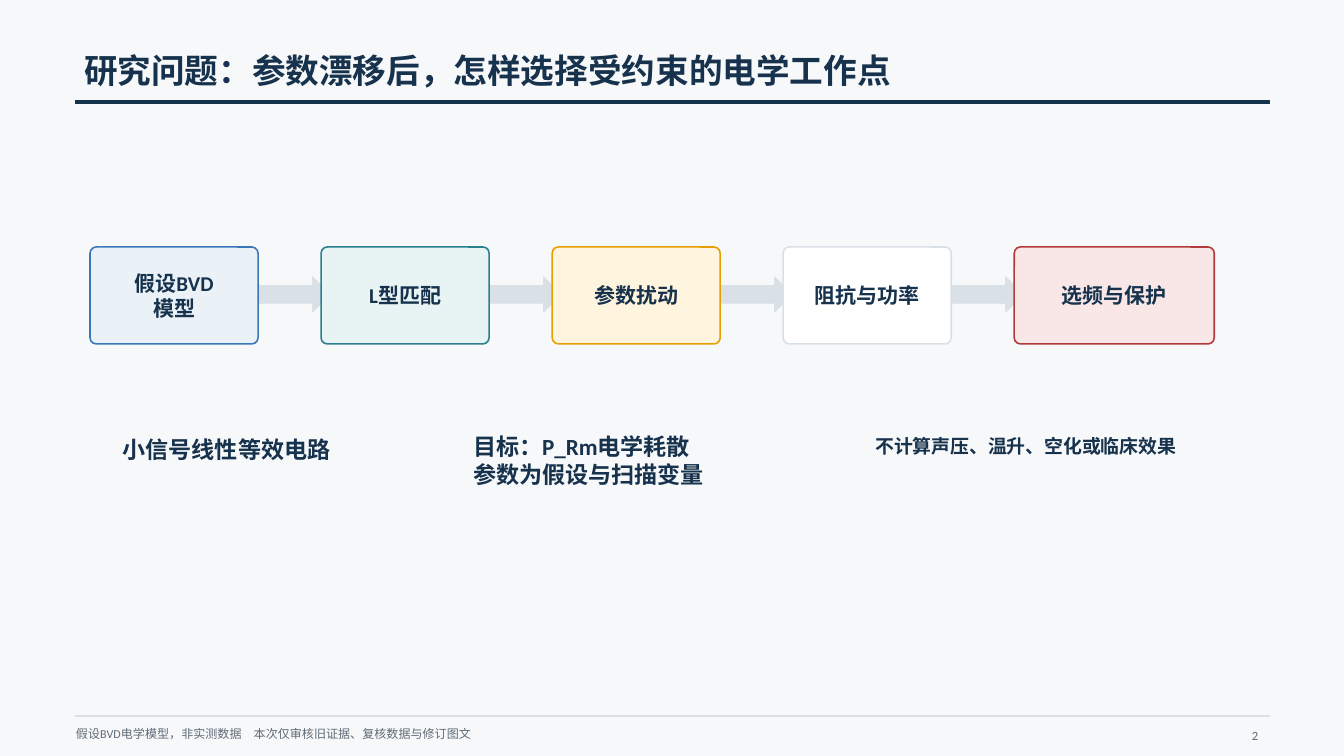
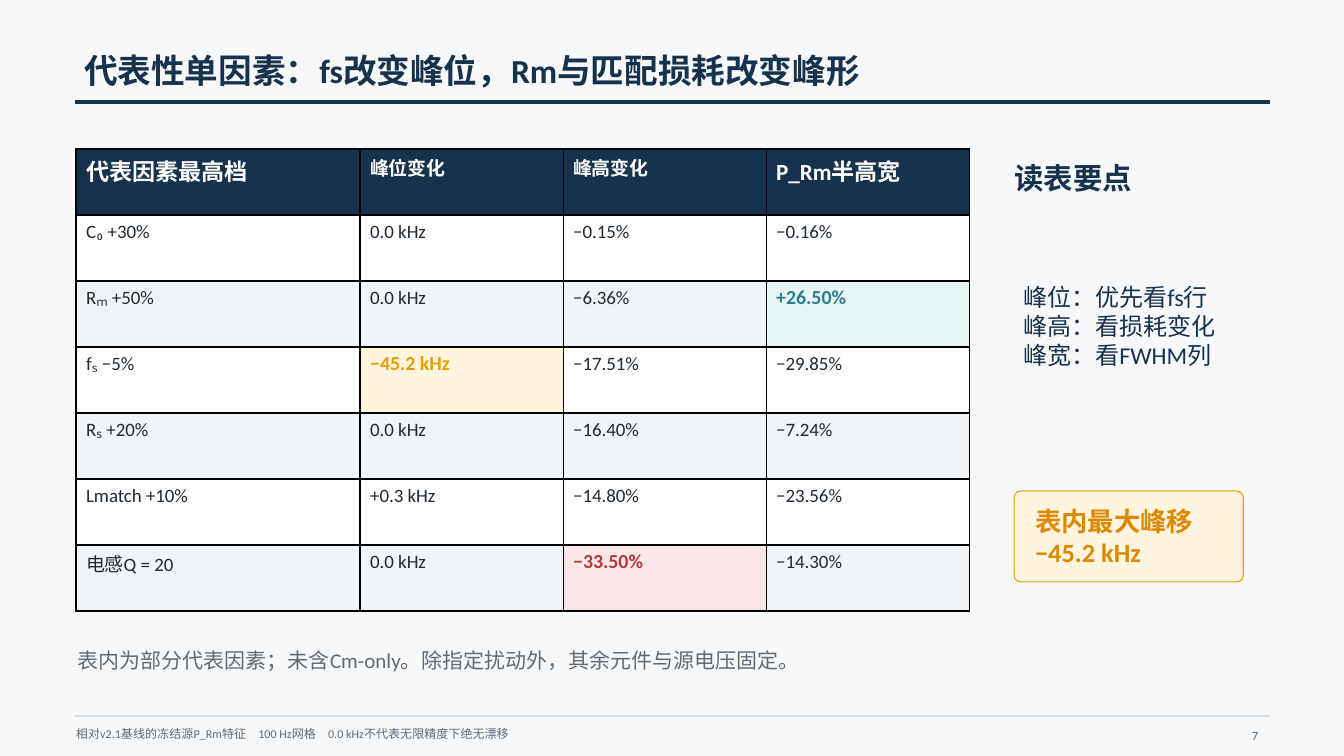
from pptx import Presentation
from pptx.dml.color import RGBColor
from pptx.enum.shapes import MSO_SHAPE
from pptx.enum.text import MSO_ANCHOR, PP_ALIGN
from pptx.oxml import parse_xml
from pptx.oxml.ns import nsdecls
from pptx.util import Emu, Inches, Pt

# Shared style
FONT = "Calibri"
BACKGROUND = RGBColor(0xF7, 0xF8, 0xFA)
NAVY = RGBColor(0x17, 0x32, 0x4D)
GRAY = RGBColor(0x5F, 0x6B, 0x76)
INK = RGBColor(0x1F, 0x29, 0x33)
RULE = RGBColor(0xD9, 0xE0, 0xE6)
WHITE = RGBColor(0xFF, 0xFF, 0xFF)
BAND = RGBColor(0xF1, 0xF4, 0xF6)
BLUE, PALE_BLUE = RGBColor(0x39, 0x78, 0xB8), RGBColor(0xEA, 0xF1, 0xF7)
TEAL, PALE_TEAL = RGBColor(0x2A, 0x7F, 0x8E), RGBColor(0xE8, 0xF3, 0xF3)
AMBER, PALE_AMBER = RGBColor(0xE6, 0x9F, 0x00), RGBColor(0xFF, 0xF4, 0xDD)
RED, PALE_RED = RGBColor(0xB3, 0x3A, 0x3A), RGBColor(0xF9, 0xE7, 0xE7)
DARK_AMBER = RGBColor(0xDE, 0x88, 0x00)

EMU_PER_PX = 914400 / 100.8
LEFT, WIDTH = 76, 1193
DEFAULT_INSETS = (10, 5)


def px(value):
    return Emu(round(value * EMU_PER_PX))


def write(frame, text, size, color, bold=False, align=None):
    """Write one paragraph for each line of text."""
    for i, line in enumerate(text.split("\n")):
        paragraph = frame.paragraphs[0] if i == 0 else frame.add_paragraph()
        if align is not None:
            paragraph.alignment = align
        run = paragraph.add_run()
        run.text = line
        font = run.font
        font.name, font.size, font.bold = FONT, Pt(size), bold
        font.color.rgb = color


def set_frame(frame, anchor, insets):
    frame.word_wrap = True
    frame.vertical_anchor = anchor
    frame.margin_left = frame.margin_right = px(insets[0])
    frame.margin_top = frame.margin_bottom = px(insets[1])


def add_text(slide, box, text, size, color=NAVY, bold=False, align=None,
             anchor=MSO_ANCHOR.MIDDLE, insets=(0, 0)):
    frame = slide.shapes.add_textbox(*map(px, box)).text_frame
    set_frame(frame, anchor, insets)
    write(frame, text, size, color, bold, align)


def add_shape(slide, kind, box, fill, line=None, line_width=0):
    shape = slide.shapes.add_shape(kind, *map(px, box))
    shape.shadow.inherit = False
    shape.fill.solid()
    shape.fill.fore_color.rgb = fill
    shape.line.color.rgb = fill if line is None else line
    shape.line.width = Pt(line_width)
    return shape


def add_card(slide, box, text, size, fill, line, line_width, radius,
             color=NAVY, align=PP_ALIGN.CENTER, insets=(19, 10)):
    card = add_shape(slide, MSO_SHAPE.ROUNDED_RECTANGLE, box, fill, line, line_width)
    card.adjustments[0] = radius
    set_frame(card.text_frame, MSO_ANCHOR.MIDDLE, insets)
    write(card.text_frame, text, size, color, True, align)


def add_borders(cell):
    properties = cell._tc.get_or_add_tcPr()
    for side in ("lnL", "lnR", "lnT", "lnB"):
        properties.append(parse_xml(
            f'<a:{side} {nsdecls("a")} w="12700"><a:solidFill>'
            f'<a:srgbClr val="000000"/></a:solidFill></a:{side}>'))


def add_table(slide, left, top, widths, row_height, rows, header_sizes, highlights):
    table = slide.shapes.add_table(
        len(rows), len(widths), px(left), px(top),
        px(sum(widths)), px(row_height * len(rows))).table
    for column, width in zip(table.columns, widths):
        column.width = px(width)
    for r, values in enumerate(rows):
        table.rows[r].height = px(row_height)
        for c, value in enumerate(values):
            if r == 0:
                size, color, fill, bold = header_sizes[c], WHITE, NAVY, True
            elif (r, c) in highlights:
                color, fill = highlights[r, c]
                size, bold = 14.2, True
            else:
                size, color, bold = 13.5, INK, False
                fill = WHITE if r % 2 else BAND
            cell = table.cell(r, c)
            add_borders(cell)
            cell.fill.solid()
            cell.fill.fore_color.rgb = fill
            write(cell.text_frame, value, size, color, bold)


def new_slide(deck, title, footer, number):
    """Add a slide with the common title, rules and footer."""
    slide = deck.slides.add_slide(deck.slide_layouts[6])
    slide.background.fill.solid()
    slide.background.fill.fore_color.rgb = BACKGROUND
    add_text(slide, (84, 40, 1186, 60), title, 24, bold=True)
    add_shape(slide, MSO_SHAPE.RECTANGLE, (LEFT, 101, WIDTH, 3), NAVY)
    add_shape(slide, MSO_SHAPE.RECTANGLE, (LEFT, 716, WIDTH, 1), RULE)
    add_text(slide, (LEFT, 723, 1155, 21), footer, 8.6, GRAY)
    add_text(slide, (1218, 723, 50, 21), str(number), 9, GRAY, align=PP_ALIGN.RIGHT,
             anchor=MSO_ANCHOR.TOP, insets=DEFAULT_INSETS)
    return slide


def build_question(deck):
    slide = new_slide(deck, "研究问题：参数漂移后，怎样选择受约束的电学工作点",
                      "假设BVD电学模型，非实测数据\u3000本次仅审核旧证据、复核数据与修订图文", 2)
    # Process chain: arrows lie behind the cards
    steps = [
        ("假设BVD\n模型", PALE_BLUE, BLUE),
        ("L型匹配", PALE_TEAL, TEAL),
        ("参数扰动", PALE_AMBER, AMBER),
        ("阻抗与功率", WHITE, RULE),
        ("选频与保护", PALE_RED, RED),
    ]
    first, pitch = 90, 231
    last = len(steps) - 1
    for i in range(last):
        add_shape(slide, MSO_SHAPE.RIGHT_ARROW,
                  (first + 166 + i * pitch, 277, 74, 35), RULE)
    for i, (text, fill, line) in enumerate(steps):
        width = 200 if i == last else 168
        add_card(slide, (first + i * pitch, 247, width, 97), text, 15,
                 fill, line, 1.13, 0.065)
    # Scope statements
    add_text(slide, (113, 430, 314, 42), "小信号线性等效电路", 16.5, bold=True,
             anchor=MSO_ANCHOR.TOP, insets=DEFAULT_INSETS)
    add_text(slide, (473, 422, 399, 76), "目标：P_Rm电学耗散\n参数为假设与扫描变量",
             16.5, bold=True)
    add_text(slide, (865, 430, 399, 50), "不计算声压、温升、空化或临床效果", 13.5,
             bold=True, anchor=MSO_ANCHOR.TOP, insets=DEFAULT_INSETS)


def build_factors(deck):
    slide = new_slide(
        deck, "代表性单因素：fs改变峰位，Rm与匹配损耗改变峰形",
        "相对v2.1基线的冻结源P_Rm特征\u3000100 Hz网格\u30000.0 kHz不代表无限精度下绝无漂移", 7)
    # Factor table
    rows = [
        ("代表因素最高档", "峰位变化", "峰高变化", "P_Rm半高宽"),
        ("C₀ +30%", "0.0 kHz", "−0.15%", "−0.16%"),
        ("Rₘ +50%", "0.0 kHz", "−6.36%", "+26.50%"),
        ("fₛ −5%", "−45.2 kHz", "−17.51%", "−29.85%"),
        ("Rₛ +20%", "0.0 kHz", "−16.40%", "−7.24%"),
        ("Lmatch +10%", "+0.3 kHz", "−14.80%", "−23.56%"),
        ("电感Q = 20", "0.0 kHz", "−33.50%", "−14.30%"),
    ]
    highlights = {(2, 3): (TEAL, PALE_TEAL), (3, 1): (AMBER, PALE_AMBER),
                  (6, 2): (RED, PALE_RED)}
    add_table(slide, LEFT, 149, (284, 203, 203, 203), 66, rows,
              (16.5, 13.5, 13.5, 16.5), highlights)
    # Reading notes
    add_text(slide, (1014, 160, 231, 35), "读表要点", 21, bold=True)
    add_text(slide, (1023, 231, 254, 190),
             "峰位：优先看fs行\n峰高：看损耗变化\n峰宽：看FWHM列", 17.2)
    add_card(slide, (1014, 491, 229, 91), "表内最大峰移\n−45.2 kHz", 18.8, PALE_AMBER,
             AMBER, 0.75, 0.07, DARK_AMBER, PP_ALIGN.LEFT)
    add_text(slide, (78, 641, 1160, 38),
             "表内为部分代表因素；未含Cm-only。除指定扰动外，其余元件与源电压固定。", 15, GRAY)


def main():
    deck = Presentation()
    deck.slide_width, deck.slide_height = Inches(13.33), Inches(7.5)
    build_question(deck)
    build_factors(deck)
    deck.save("out.pptx")


main()
